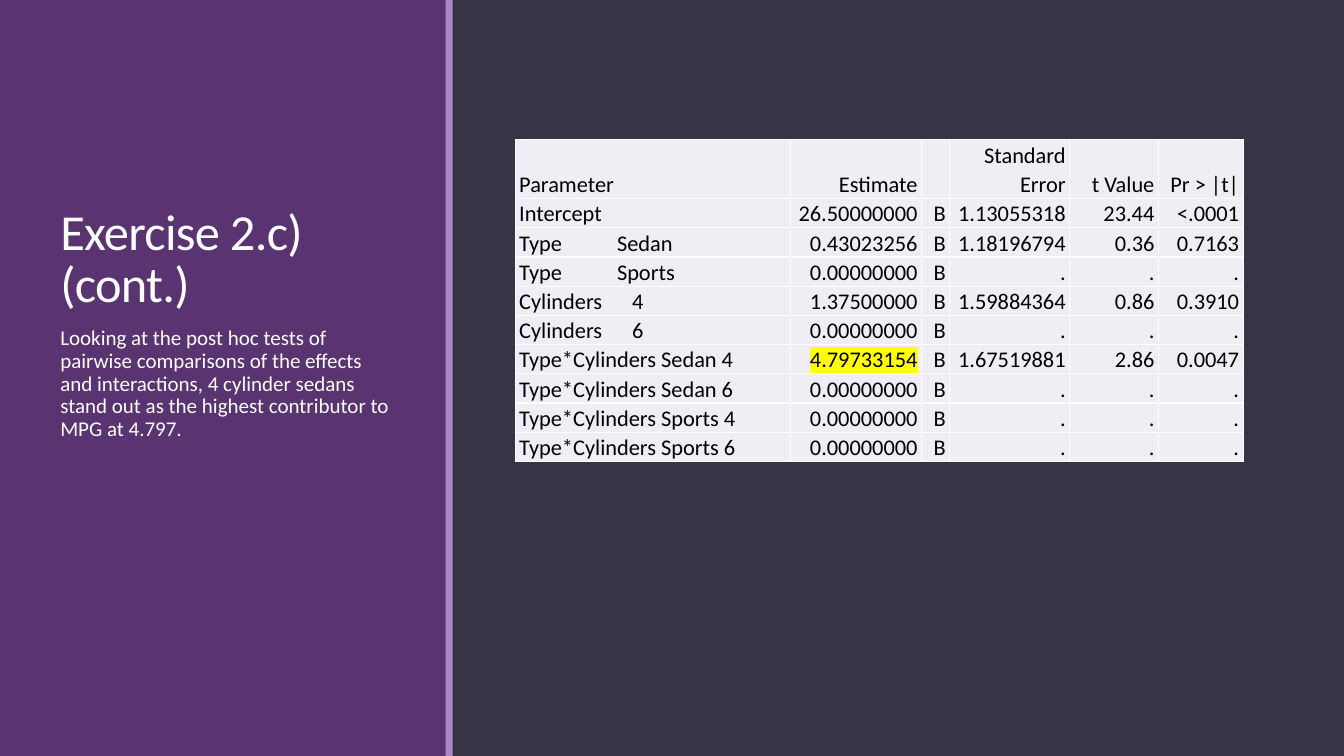
import copy
from dataclasses import dataclass

import pptx
import pptx.dml.color
import pptx.enum.shapes
import pptx.enum.text
import pptx.oxml
import pptx.oxml.ns
import pptx.util

Inches = pptx.util.Inches
Pt = pptx.util.Pt
ALIGN = pptx.enum.text.PP_ALIGN
ANCHOR = pptx.enum.text.MSO_ANCHOR

FONT = "Calibri"
WHITE, BLACK, YELLOW = "FFFFFF", "000000", "FFFF00"
BACKGROUND, PURPLE, LILAC, PALE = "373545", "5A3471", "AD84C6", "F1EDF5"


@dataclass
class Band:
    left: float
    width: float
    color: str


@dataclass
class TextStyle:
    size: int
    color: str
    line_spacing: float
    before: float = 0
    after: float = 0
    tracking: int = 0  # hundredths of a point


@dataclass
class Caption:
    text: str
    top: float
    height: float
    anchor: ANCHOR
    style: TextStyle


@dataclass
class Estimate:
    parameter: str
    estimate: str = "0.00000000"
    bias: str = "B"
    error: str = "."
    t_value: str = "."
    probability: str = "."

    def values(self) -> list[str]:
        return [self.parameter, self.estimate, self.bias,
                self.error, self.t_value, self.probability]


BANDS = [Band(0, 4.43, PURPLE), Band(4.42, 0.07, LILAC)]

CAPTIONS = [
    Caption("Exercise 2.c)\n(cont.)", 0.65, 2.5, ANCHOR.BOTTOM,
            TextStyle(36, WHITE, 0.85, tracking=-50)),
    Caption("Looking at the post hoc tests of pairwise comparisons of the effects "
            "and interactions, 4 cylinder sedans stand out as the highest "
            "contributor to MPG at 4.797.", 3.2, 3.7, ANCHOR.TOP,
            TextStyle(15, WHITE, 0.9, 12, 2)),
]

CELL_STYLE = TextStyle(16, BLACK, 1.07, 3, 3)
COLUMN_WIDTHS = [2.73, 1.3, 0.28, 1.19, 0.88, 0.84]
HEADER_HEIGHT, ROW_HEIGHT = 0.59, 0.29
LEVEL_TABS = {"Type": 0.97, "Cylinders": 1.12}
HIGHLIGHTED = "4.79733154"

ESTIMATES = [
    Estimate("Parameter", "Estimate", "", "Standard\nError", "t Value", "Pr > |t|"),
    Estimate("Intercept", "26.50000000", "B", "1.13055318", "23.44", "<.0001"),
    Estimate("Type\tSedan", "0.43023256", "B", "1.18196794", "0.36", "0.7163"),
    Estimate("Type\tSports"),
    Estimate("Cylinders\t4", "1.37500000", "B", "1.59884364", "0.86", "0.3910"),
    Estimate("Cylinders\t6"),
    Estimate("Type*Cylinders Sedan 4", HIGHLIGHTED, "B", "1.67519881", "2.86", "0.0047"),
    Estimate("Type*Cylinders Sedan 6"),
    Estimate("Type*Cylinders Sports 4"),
    Estimate("Type*Cylinders Sports 6"),
]


def rgb(color: str) -> pptx.dml.color.RGBColor:
    return pptx.dml.color.RGBColor.from_string(color)


def element(xml: str):
    """Parse one DrawingML element, adding the namespace to its first tag."""
    tag, rest = xml.split(" ", 1)
    return pptx.oxml.parse_xml(f"{tag} {pptx.oxml.ns.nsdecls('a')} {rest}")


def set_all(target, values: dict) -> None:
    for name, value in values.items():
        setattr(target, name, value)


def write(paragraph, text: str, style: TextStyle, align: ALIGN = ALIGN.LEFT) -> None:
    paragraph.text = text
    set_all(paragraph, {"alignment": align, "line_spacing": style.line_spacing,
                        "space_before": Pt(style.before), "space_after": Pt(style.after)})
    for run in paragraph.runs:
        set_all(run.font, {"name": FONT, "size": Pt(style.size), "bold": False})
        run.font.color.rgb = rgb(style.color)
        if style.tracking:
            run.font._element.set("spc", str(style.tracking))
    for line_break in paragraph._p.findall(pptx.oxml.ns.qn("a:br")):
        line_break.append(copy.deepcopy(paragraph.runs[0].font._element))


def add_band(slide, band: Band) -> None:
    shape = slide.shapes.add_shape(
        pptx.enum.shapes.MSO_SHAPE.RECTANGLE,
        Inches(band.left), 0, Inches(band.width), Inches(7.5))
    shape.shadow.inherit = False
    shape.fill.solid()
    shape.fill.fore_color.rgb = rgb(band.color)
    shape.line.fill.background()


def add_caption(slide, caption: Caption) -> None:
    frame = slide.shapes.add_textbox(
        Inches(0.5), Inches(caption.top), Inches(3.5), Inches(caption.height)).text_frame
    set_all(frame, {"word_wrap": True, "vertical_anchor": caption.anchor})
    write(frame.paragraphs[0], caption.text, caption.style)


def format_cell(cell, anchor: ANCHOR) -> None:
    set_all(cell, {"margin_left": Inches(0.04), "margin_right": Inches(0.04),
                   "margin_top": 0, "margin_bottom": 0, "vertical_anchor": anchor})
    for side in "LRTB":
        cell._tc.get_or_add_tcPr().append(element(
            f'<a:ln{side} w="{Pt(1)}"><a:solidFill><a:srgbClr val="{WHITE}"/>'
            f"</a:solidFill></a:ln{side}>"))
    cell.fill.solid()
    cell.fill.fore_color.rgb = rgb(PALE)


def add_estimates(slide) -> None:
    heights = [HEADER_HEIGHT] + [ROW_HEIGHT] * (len(ESTIMATES) - 1)
    table = slide.shapes.add_table(
        len(ESTIMATES), len(COLUMN_WIDTHS), Inches(5.11), Inches(1.38),
        Inches(sum(COLUMN_WIDTHS)), Inches(sum(heights))).table
    set_all(table, {"first_row": False, "horz_banding": False})
    for column, width in zip(table.columns, COLUMN_WIDTHS):
        column.width = Inches(width)
    for row_index, (row, height, estimate) in enumerate(zip(table.rows, heights, ESTIMATES)):
        row.height = Inches(height)
        for column_index, (cell, text) in enumerate(zip(row.cells, estimate.values())):
            format_cell(cell, ANCHOR.TOP if row_index else ANCHOR.BOTTOM)
            paragraph = cell.text_frame.paragraphs[0]
            write(paragraph, text, CELL_STYLE, ALIGN.RIGHT if column_index else ALIGN.LEFT)
            if "\t" in text:
                stop = Inches(LEVEL_TABS[text.split("\t")[0]])
                paragraph._p.get_or_add_pPr().append(element(
                    f'<a:tabLst ><a:tab pos="{stop}" algn="l"/></a:tabLst>'))
            if text == HIGHLIGHTED:
                text_fill = paragraph.runs[0].font._element.find(pptx.oxml.ns.qn("a:solidFill"))
                text_fill.addnext(element(
                    f'<a:highlight ><a:srgbClr val="{YELLOW}"/></a:highlight>'))


def main() -> None:
    presentation = pptx.Presentation()
    set_all(presentation, {"slide_width": Inches(13.33), "slide_height": Inches(7.5)})
    slide = presentation.slides.add_slide(presentation.slide_layouts[6])
    slide.background.fill.solid()
    slide.background.fill.fore_color.rgb = rgb(BACKGROUND)
    for band in BANDS:
        add_band(slide, band)
    for caption in CAPTIONS:
        add_caption(slide, caption)
    add_estimates(slide)
    presentation.save("out.pptx")


if __name__ == "__main__":
    main()
